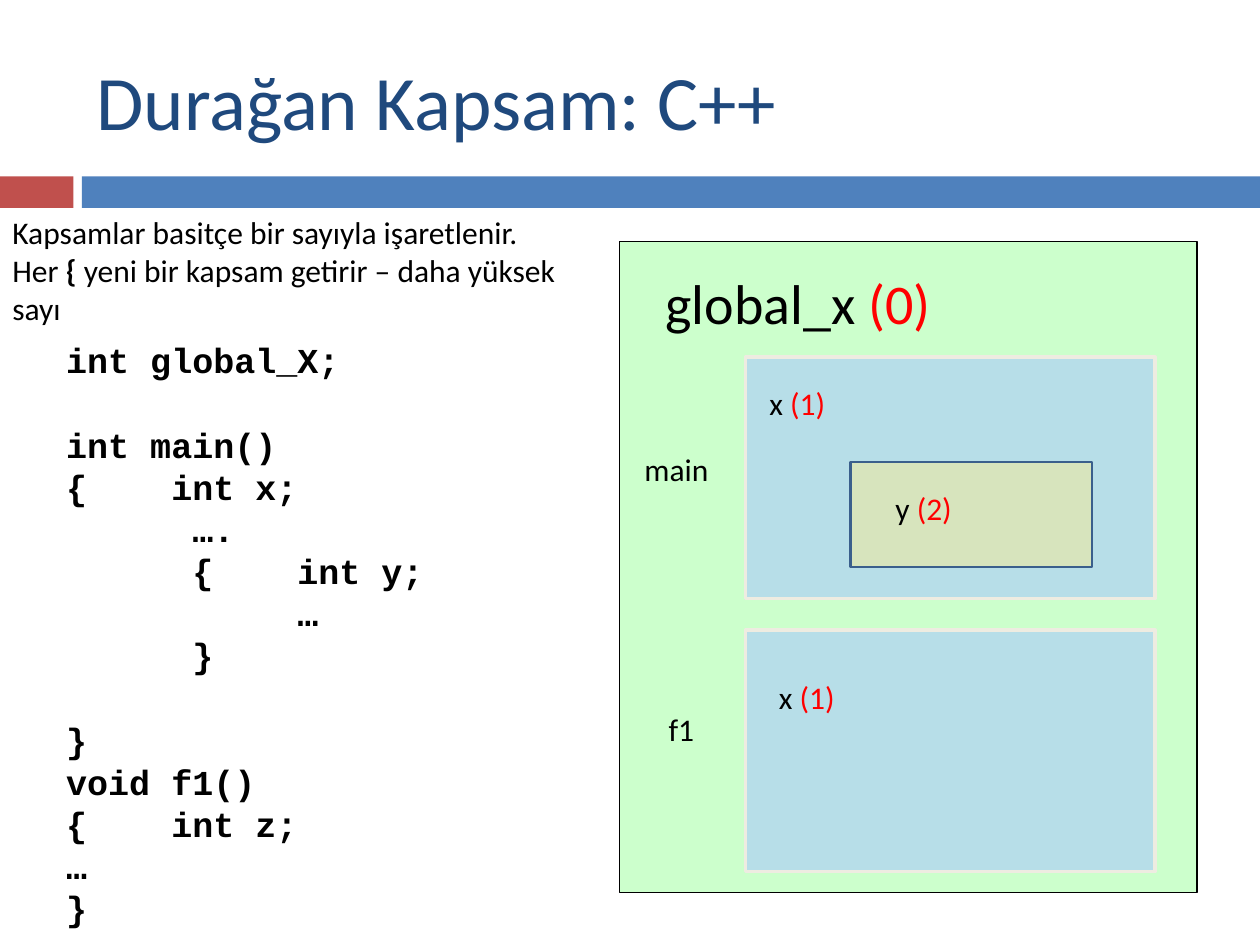
from dataclasses import dataclass
from typing import Optional

from pptx import Presentation
from pptx.dml.color import RGBColor
from pptx.enum.shapes import MSO_SHAPE
from pptx.enum.text import MSO_ANCHOR
from pptx.util import Inches, Pt

# Grid of 120 columns by 90 rows over a 10 x 7.5 inch slide
COLS, ROWS = 120, 90
WIDTH, HEIGHT = Inches(10), Inches(7.5)

BLACK = RGBColor(0x00, 0x00, 0x00)
RED = RGBColor(0xFF, 0x00, 0x00)
NAVY = RGBColor(0x1F, 0x49, 0x7D)
BAR_RED = RGBColor(0xC0, 0x50, 0x4D)
BAR_BLUE = RGBColor(0x4F, 0x81, 0xBD)
GREEN = RGBColor(0xCC, 0xFF, 0xCC)
SKY = RGBColor(0xB7, 0xDE, 0xE8)
CREAM = RGBColor(0xEE, 0xEC, 0xE1)
OLIVE = RGBColor(0xD7, 0xE4, 0xBD)
STEEL = RGBColor(0x3A, 0x5F, 0x8C)

BODY = {"name": "Calibri", "size": Pt(18), "bold": False}
TITLE = BODY | {"size": Pt(44)}
GLOBAL = BODY | {"size": Pt(32)}
CODE = {"name": "Courier New", "size": Pt(20), "bold": True}
CODE_PITCH = Pt(24.1)


@dataclass(frozen=True)
class Area:
    col: float
    row: float
    cols: float
    rows: float

    def emu(self) -> tuple[int, int, int, int]:
        return (int(WIDTH * self.col / COLS), int(HEIGHT * self.row / ROWS),
                int(WIDTH * self.cols / COLS), int(HEIGHT * self.rows / ROWS))


@dataclass(frozen=True)
class Block:
    area: Area
    fill: RGBColor
    line: Optional[RGBColor] = None
    weight: float = 1


@dataclass(frozen=True)
class Label:
    area: Area
    name: str
    level: str = ""
    font: Optional[dict] = None


BARS = [
    Block(Area(0, 16.8, 7, 3), BAR_RED),
    Block(Area(7.8, 16.8, 112.2, 3), BAR_BLUE),
]
SCOPES = [
    Block(Area(59, 23, 55, 62), GREEN, BLACK),
    Block(Area(71, 34, 39, 23), SKY, CREAM, 2),
    Block(Area(71, 60, 39, 23), SKY, CREAM, 2),
    Block(Area(81, 44, 23, 10), OLIVE, STEEL, 1.5),
]
LABELS = [
    Label(Area(62.2, 25, 30, 7.7), "global_x ", "(0)", GLOBAL),
    Label(Area(60.2, 42.3, 12, 6), "main"),
    Label(Area(62.5, 67, 7.5, 6), "f1"),
    Label(Area(84.1, 46, 12, 6), "y ", "(2)"),
    Label(Area(72.1, 36, 12, 6), "x ", "(1)"),
    Label(Area(73, 64, 12, 6), "x ", "(1)"),
]
SOURCE = """int global_X;

int main()
{    int x;
      ….
      {    int y;
           …
      }

}
void f1()
{    int z;
…
}"""


def add_block(s, block: Block) -> None:
    sp = s.shapes.add_shape(MSO_SHAPE.RECTANGLE, *block.area.emu())
    sp.shadow.inherit = False
    sp.fill.solid()
    sp.fill.fore_color.rgb = block.fill
    if block.line is None:
        sp.line.fill.background()
    else:
        sp.line.color.rgb = block.line
        sp.line.width = Pt(block.weight)


def add_text_frame(s, area: Area):
    tf = s.shapes.add_textbox(*area.emu()).text_frame
    tf.word_wrap = True
    return tf


def add_run(p, text: str, font: dict, color: RGBColor = BLACK) -> None:
    r = p.add_run()
    r.text = text
    for key, value in font.items():
        setattr(r.font, key, value)
    r.font.color.rgb = color


def add_label(s, label: Label) -> None:
    p = add_text_frame(s, label.area).paragraphs[0]
    font = label.font or BODY
    add_run(p, label.name, font)
    if label.level:
        add_run(p, label.level, font, RED)


def add_code(s, area: Area, source: str) -> None:
    tf = add_text_frame(s, area)
    margins = {"margin_left": 0.05, "margin_right": 0.05,
               "margin_top": 0.02, "margin_bottom": 0.02}
    for key, value in margins.items():
        setattr(tf, key, Inches(value))
    p, gap = tf.paragraphs[0], 0
    for i, line in enumerate(source.splitlines()):
        if not line:  # an empty source line becomes spacing
            gap = CODE_PITCH
            continue
        if i:
            p = tf.add_paragraph()
        p.line_spacing = CODE_PITCH
        p.space_before = gap
        add_run(p, line, CODE)
        gap = 0


def main() -> None:
    prs = Presentation()
    prs.slide_width, prs.slide_height = WIDTH, HEIGHT
    s = prs.slides.add_slide(prs.slide_layouts[6])

    # Title bars, code listing and nested scopes
    for bar in BARS:
        add_block(s, bar)
    add_code(s, Area(5.7, 32, 50, 57), SOURCE)
    for scope in SCOPES:
        add_block(s, scope)
    for label in LABELS:
        add_label(s, label)

    # Explanation
    tf = add_text_frame(s, Area(0, 19.7, 56.3, 12.1))
    add_run(tf.paragraphs[0], "Kapsamlar basitçe bir sayıyla işaretlenir.", BODY)
    p = tf.add_paragraph()
    add_run(p, "Her ", BODY)
    add_run(p, "{ ", BODY | {"bold": True})
    add_run(p, "yeni bir kapsam getirir – daha yüksek sayı", BODY)

    # Title
    tf = add_text_frame(s, Area(8, 3, 107, 13))
    tf.vertical_anchor = MSO_ANCHOR.MIDDLE
    add_run(tf.paragraphs[0], "Durağan Kapsam: C++", TITLE, NAVY)

    prs.save("out.pptx")


if __name__ == "__main__":
    main()
